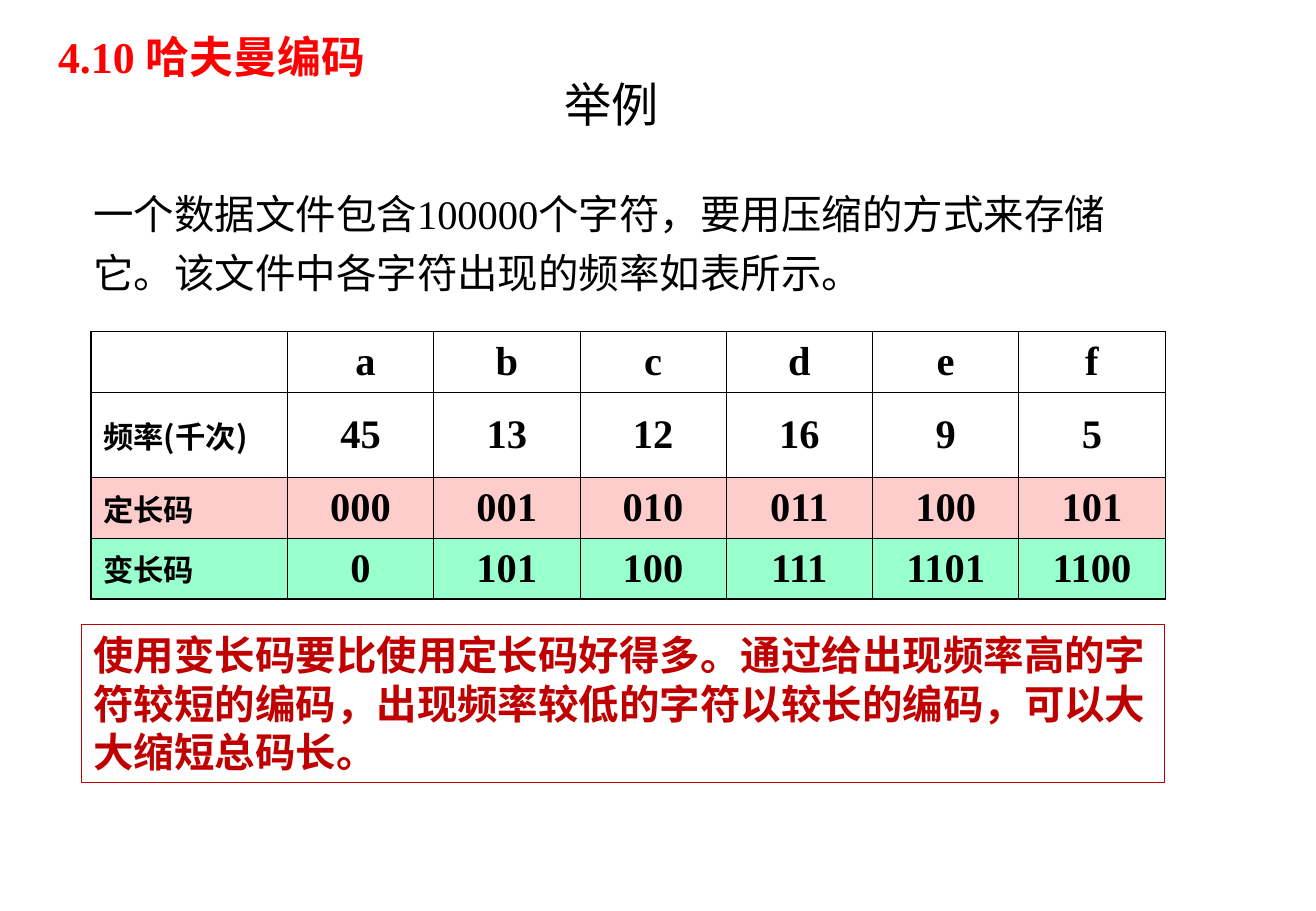
from dataclasses import dataclass

import pptx
import pptx.dml.color
import pptx.enum.shapes
import pptx.enum.text
import pptx.oxml.ns
import pptx.slide
import pptx.table
import pptx.text.text
import pptx.util
from lxml import etree

Inches = pptx.util.Inches
Pt = pptx.util.Pt
Align = pptx.enum.text.PP_ALIGN
Anchor = pptx.enum.text.MSO_ANCHOR

LATIN = "Times New Roman"
CHINESE = "Noto Sans CJK SC"
BLACK = "000000"
DARK_RED = "C00000"
THIN, THICK = 0.45, 1.08
COLUMN_WIDTHS = [1.62] + [1.2, 1.21] * 3


@dataclass
class TextStyle:
    size: float
    color: str = BLACK
    bold: bool = False
    latin: str = LATIN
    align: Align = Align.LEFT
    line_spacing: float = 1.0


@dataclass
class CodeRow:
    label: str
    values: list[str]
    height: float = 0.5
    fill: str | None = None


LABEL_STYLE = TextStyle(18, bold=True, latin=CHINESE)
VALUE_STYLE = TextStyle(24, bold=True, align=Align.CENTER)

CODE_ROWS = [
    CodeRow("", [" a", "b", "c", "d", "e", "f"]),
    CodeRow("频率(千次)", ["45", "13", "12", "16", "9", "5"], height=0.7),
    CodeRow("定长码", ["000", "001", "010", "011", "100", "101"], fill="FFCCCC"),
    CodeRow("变长码", ["0", "101", "100", "111", "1101", "1100"], fill="99FFCC"),
]


def rgb(color: str) -> pptx.dml.color.RGBColor:
    return pptx.dml.color.RGBColor.from_string(color)


def write_text(text_frame: pptx.text.text.TextFrame, text: str, style: TextStyle) -> None:
    text_frame.text = text
    paragraph = text_frame.paragraphs[0]
    paragraph.alignment = style.align
    paragraph.line_spacing = style.line_spacing
    paragraph.space_before = Pt(0)
    for run in paragraph.runs:
        run.font.size = Pt(style.size)
        run.font.bold = style.bold
        run.font.color.rgb = rgb(style.color)
        run.font.name = style.latin
        properties = run.font._element
        etree.SubElement(properties, pptx.oxml.ns.qn("a:ea"), typeface=CHINESE)


def add_text_box(slide: pptx.slide.Slide, bounds: tuple, text: str, style: TextStyle,
                 wrap: bool = True, anchor: Anchor = Anchor.TOP) -> None:
    box = slide.shapes.add_textbox(*map(Inches, bounds))
    box.text_frame.word_wrap = wrap
    box.text_frame.vertical_anchor = anchor
    write_text(box.text_frame, text, style)


def set_borders(cell: pptx.table._Cell, widths: dict[str, float]) -> None:
    properties = cell._tc.get_or_add_tcPr()
    for side, width in widths.items():
        line = etree.SubElement(properties, pptx.oxml.ns.qn(f"a:ln{side}"), w=str(int(Pt(width))))
        fill = etree.SubElement(line, pptx.oxml.ns.qn("a:solidFill"))
        etree.SubElement(fill, pptx.oxml.ns.qn("a:srgbClr"), val=BLACK)


def add_code_table(slide: pptx.slide.Slide) -> None:
    row_count, column_count = len(CODE_ROWS), len(COLUMN_WIDTHS)
    height = sum(row.height for row in CODE_ROWS)
    frame = slide.shapes.add_table(row_count, column_count, Inches(0.75), Inches(2.73),
                                   Inches(sum(COLUMN_WIDTHS)), Inches(height))
    table = frame.table
    table.first_row = False
    table.horz_banding = False
    for column, width in zip(table.columns, COLUMN_WIDTHS):
        column.width = Inches(width)
    for row_index, row in enumerate(CODE_ROWS):
        table.rows[row_index].height = Inches(row.height)
        for column_index, text in enumerate([row.label, *row.values]):
            cell = table.cell(row_index, column_index)
            cell.vertical_anchor = Anchor.MIDDLE
            write_text(cell.text_frame, text, VALUE_STYLE if column_index else LABEL_STYLE)
            set_borders(cell, {
                "L": THICK if column_index == 0 else THIN,
                "R": THICK if column_index == column_count - 1 else THIN,
                "T": THICK if row_index == 0 else THIN,
                "B": THICK if row_index == row_count - 1 else THIN,
            })
            if row.fill:
                cell.fill.solid()
                cell.fill.fore_color.rgb = rgb(row.fill)
            else:
                cell.fill.background()


def add_title(slide: pptx.slide.Slide) -> None:
    title = slide.shapes.title
    title.left, title.top, title.width, title.height = map(Inches, (4.55, 0.44, 0.98, 0.83))
    text_frame = title.text_frame
    text_frame.margin_left = text_frame.margin_right = 0
    text_frame.vertical_anchor = Anchor.MIDDLE
    write_text(text_frame, "举例", TextStyle(28, latin=CHINESE, align=Align.CENTER))


def add_conclusion(slide: pptx.slide.Slide) -> None:
    conclusion = slide.shapes.add_shape(pptx.enum.shapes.MSO_SHAPE.RECTANGLE,
                                        *map(Inches, (0.67, 5.14, 8.92, 1.3)))
    conclusion.shadow.inherit = False
    conclusion.fill.background()
    conclusion.line.color.rgb = rgb(DARK_RED)
    conclusion.line.width = Pt(0.75)
    conclusion.text_frame.word_wrap = True
    conclusion.text_frame.vertical_anchor = Anchor.TOP
    write_text(conclusion.text_frame,
               "使用变长码要比使用定长码好得多。通过给出现频率高的字符较短的编码，"
               "出现频率较低的字符以较长的编码，可以大大缩短总码长。",
               TextStyle(24, DARK_RED, bold=True))


def main() -> None:
    presentation = pptx.Presentation()
    presentation.slide_width = Inches(10.84)
    presentation.slide_height = Inches(7.5)
    title_only = presentation.slide_layouts.get_by_name("Title Only")
    slide = presentation.slides.add_slide(title_only)

    add_title(slide)
    add_text_box(slide, (0.67, 1.43, 8.75, 1.17),
                 "一个数据文件包含100000个字符，要用压缩的方式来存储它。"
                 "该文件中各字符出现的频率如表所示。",
                 TextStyle(24, line_spacing=1.2))
    add_code_table(slide)
    add_conclusion(slide)
    add_text_box(slide, (0.38, 0.02, 2.82, 0.71), "4.10 哈夫曼编码",
                 TextStyle(26, "FF0000", bold=True, line_spacing=1.4),
                 wrap=False, anchor=Anchor.MIDDLE)
    presentation.save("out.pptx")


if __name__ == "__main__":
    main()
